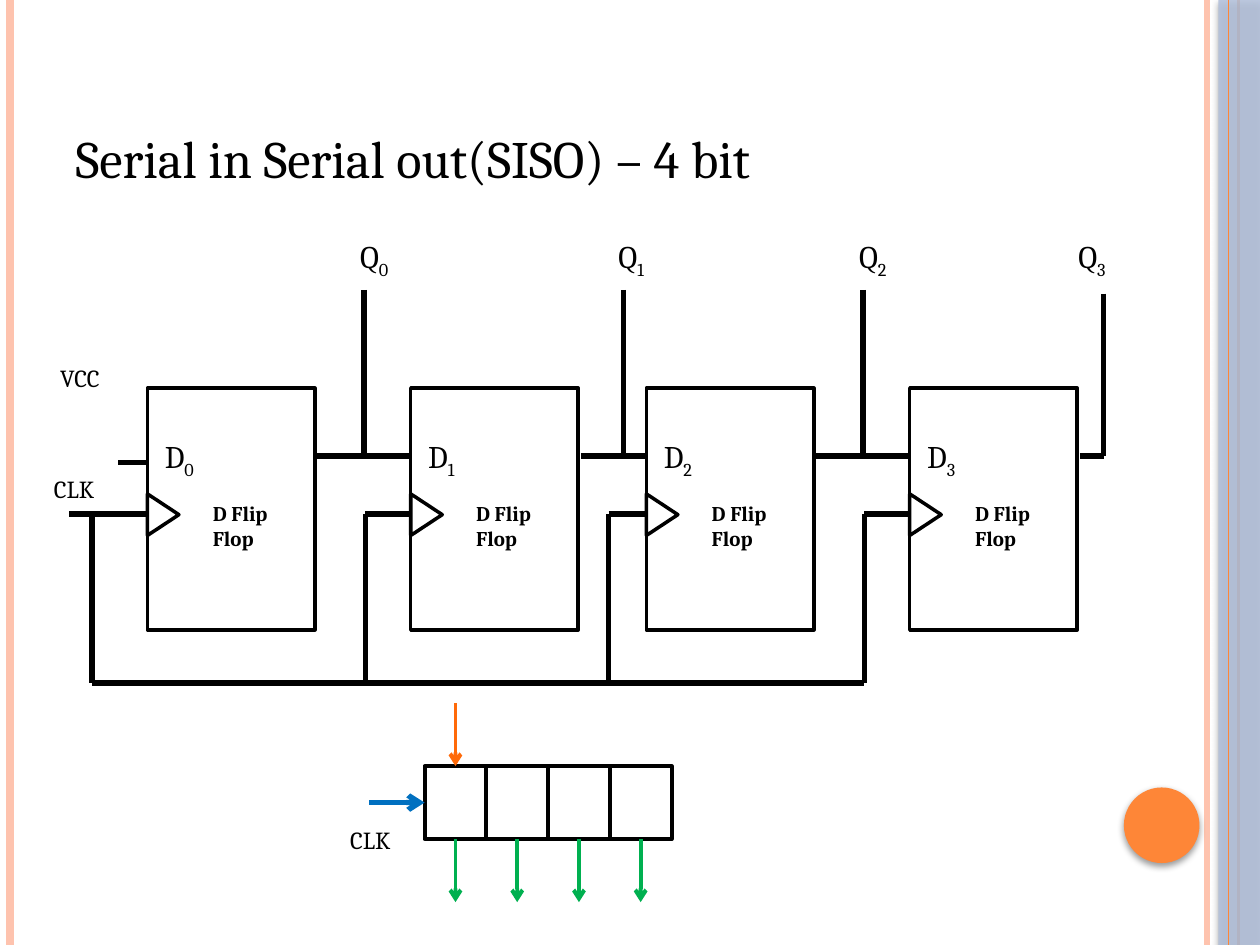
"""Build a slide showing a 4-bit serial-in serial-out shift register."""
import itertools

import pptx
import pptx.dml.color
import pptx.enum.shapes
import pptx.enum.text
import pptx.oxml
import pptx.oxml.ns
import pptx.util

Inches = pptx.util.Inches
SHAPES = pptx.enum.shapes.MSO_SHAPE
BLACK = "000000"

TITLE = "Serial in Serial out(SISO) – 4 bit"
FLIP_FLOPS = [
    {"left": 1.17, "clock": 0.73, "tap": 2.89, "tap_top": 2.3, "q": 2.76},
    {"left": 3.26, "clock": 2.9, "tap": 4.95, "tap_top": 2.3, "q": 4.81},
    {"left": 5.13, "clock": 4.83, "tap": 6.85, "tap_top": 2.3, "q": 6.72},
    {"left": 7.22, "clock": 6.86, "tap": 8.76, "tap_top": 2.33, "q": 8.46},
]
BOX_TOP, BOX_WIDTH, BOX_HEIGHT = 3.08, 1.33, 1.92
DATA_Y, CLOCK_Y, BUS_Y = 3.62, 4.08, 5.42
INPUT_WIRES = [(0.55, CLOCK_Y, 1.17, CLOCK_Y), (0.94, 3.67, 1.16, 3.67)]
SIGNAL_LABELS = [
    ("VCC", 0.38, 2.83, 0.67),
    ("CLK", 0.33, 3.71, 0.76),
    ("CLK", 2.68, 6.5, 0.65),
]
CELL_LEFT, CELL_TOP, CELL_WIDTH, CELL_HEIGHT = 3.37, 6.08, 0.49, 0.58
ARROW_LENGTH = 0.5
MARGIN_LINES = [
    (9.58, "FEC3AE", 3),
    (0.08, "FEC3AE", 4.5),
    (9.83, "FE8637", 1.5),
]
INNER_MARGIN_LINE = (9.75, "FE8637", 0.75)

SHADOW = (
    '<a:effectLst %s><a:outerShdw blurRad="50800" dist="25400" dir="5400000">'
    '<a:srgbClr val="000000"><a:alpha val="40000"/></a:srgbClr>'
    "</a:outerShdw></a:effectLst>" % pptx.oxml.ns.nsdecls("a")
)


def color(value):
    return pptx.dml.color.RGBColor.from_string(value)


def add_xml(parent, tag, **attributes):
    element = parent.makeelement(pptx.oxml.ns.qn(tag), attributes)
    parent.append(element)
    return element


def format_font(font, size, bold=False):
    values = {"name": "Cambria", "size": pptx.util.Pt(size), "bold": bold}
    for name, value in values.items():
        setattr(font, name, value)
    font.color.rgb = color(BLACK)


def add_line(slide, start_x, start_y, end_x, end_y, line_color=BLACK, width=3, arrow=False):
    points = [Inches(value) for value in (start_x, start_y, end_x, end_y)]
    line = slide.shapes.add_connector(pptx.enum.shapes.MSO_CONNECTOR.STRAIGHT, *points)
    line.line.color.rgb = color(line_color)
    line.line.width = pptx.util.Pt(width)
    if arrow:
        add_xml(line.line._get_or_add_ln(), "a:tailEnd", type="arrow")
    add_xml(line._element.spPr, "a:effectLst")
    return line


def add_outline(slide, kind, left, top, width, height, line_width=2):
    shape = slide.shapes.add_shape(kind, *map(Inches, (left, top, width, height)))
    shape.shadow.inherit = False
    shape.fill.background()
    shape.line.color.rgb = color(BLACK)
    shape.line.width = pptx.util.Pt(line_width)
    return shape


def add_decoration(slide, kind, box, fill, opacity=100):
    shape = slide.shapes.add_shape(kind, *map(Inches, box))
    shape.fill.solid()
    shape.fill.fore_color.rgb = color(fill)
    shape.line.fill.background()
    if opacity < 100:
        fill_color = shape._element.spPr.find(".//" + pptx.oxml.ns.qn("a:srgbClr"))
        add_xml(fill_color, "a:alpha", val=str(opacity * 1000))
    shape._element.spPr.append(pptx.oxml.parse_xml(SHADOW))


def add_label(slide, text, left, top, width, height, size, subscript="", bold=False):
    box = slide.shapes.add_textbox(*map(Inches, (left, top, width, height)))
    box.text_frame.word_wrap = True
    paragraph = box.text_frame.paragraphs[0]
    run = paragraph.add_run()
    run.text = text
    format_font(run.font, size, bold)
    if subscript:
        run = paragraph.add_run()
        run.text = subscript
        format_font(run.font, size, bold)
        run.font._element.set("baseline", "-25000")


def add_margins(slide):
    for x, line_color, width in MARGIN_LINES:
        add_line(slide, x, 0, x, 7.5, line_color, width)
    add_decoration(slide, SHAPES.RECTANGLE, (9.67, 0, 0.33, 7.5), "B3C1DB", 87)
    x, line_color, width = INNER_MARGIN_LINE
    add_line(slide, x, 0, x, 7.5, line_color, width)
    add_decoration(slide, SHAPES.OVAL, (8.92, 6.25, 0.6, 0.6), "FE8637")


def add_title(slide):
    title = slide.shapes.title
    box = {"left": 0.5, "top": 0.3, "width": 8.17, "height": 1.25}
    for name, value in box.items():
        setattr(title, name, Inches(value))
    title.text_frame.text = TITLE
    title.text_frame.vertical_anchor = pptx.enum.text.MSO_ANCHOR.BOTTOM
    paragraph = title.text_frame.paragraphs[0]
    paragraph.alignment = pptx.enum.text.PP_ALIGN.LEFT
    format_font(paragraph.runs[0].font, 30)


def add_flip_flop(slide, index, flip_flop):
    left, tap = flip_flop["left"], flip_flop["tap"]
    add_outline(slide, SHAPES.RECTANGLE, left, BOX_TOP, BOX_WIDTH, BOX_HEIGHT)
    clock_input = add_outline(slide, SHAPES.ISOSCELES_TRIANGLE, left - 0.04, 3.96, 0.33, 0.25)
    clock_input.rotation = 90
    add_label(slide, "D", left + 0.04, 3.42, 0.63, 0.44, 18, str(index))
    add_label(slide, "D Flip Flop", left + 0.42, 3.92, 0.92, 0.5, 12, bold=True)
    add_label(slide, "Q", flip_flop["q"], 1.83, 0.62, 0.44, 18, str(index))
    add_line(slide, left + BOX_WIDTH + 0.02, DATA_Y, tap, DATA_Y)
    add_line(slide, tap, flip_flop["tap_top"], tap, DATA_Y)
    add_line(slide, flip_flop["clock"], CLOCK_Y, flip_flop["clock"], BUS_Y)


def add_register(slide):
    cells = [
        add_outline(slide, SHAPES.RECTANGLE, CELL_LEFT + index * CELL_WIDTH, CELL_TOP,
                    CELL_WIDTH, CELL_HEIGHT, 2.25)
        for index in range(len(FLIP_FLOPS))
    ]
    first_x = CELL_LEFT + CELL_WIDTH / 2
    middle_y = CELL_TOP + CELL_HEIGHT / 2
    bottom = CELL_TOP + CELL_HEIGHT
    data = add_line(slide, first_x, CELL_TOP - ARROW_LENGTH, first_x, CELL_TOP,
                    "FF6A09", 2.25, True)
    data.end_connect(cells[0], 0)
    clock = add_line(slide, 2.93, middle_y, CELL_LEFT, middle_y, "0070C0", 3, True)
    clock.end_connect(cells[0], 1)
    for index, cell in enumerate(cells):
        x = first_x + index * CELL_WIDTH
        output = add_line(slide, x, bottom, x, bottom + ARROW_LENGTH, "00B050", 2.25, True)
        output.begin_connect(cell, 2)


def main():
    presentation = pptx.Presentation()
    presentation.slide_width, presentation.slide_height = Inches(10), Inches(7.5)
    slide = presentation.slides.add_slide(presentation.slide_layouts[5])
    add_margins(slide)
    add_title(slide)
    for index, flip_flop in enumerate(FLIP_FLOPS):
        add_flip_flop(slide, index, flip_flop)
    for wire in INPUT_WIRES:
        add_line(slide, *wire)
    for current, following in itertools.pairwise(FLIP_FLOPS):
        add_line(slide, current["tap"], DATA_Y, following["left"], DATA_Y)
        add_line(slide, current["clock"], BUS_Y, following["clock"], BUS_Y)
        add_line(slide, following["clock"], CLOCK_Y, following["left"], CLOCK_Y)
    for text, left, top, width in SIGNAL_LABELS:
        add_label(slide, text, left, top, width, 0.33, 14)
    add_register(slide)
    presentation.save("out.pptx")


if __name__ == "__main__":
    main()
